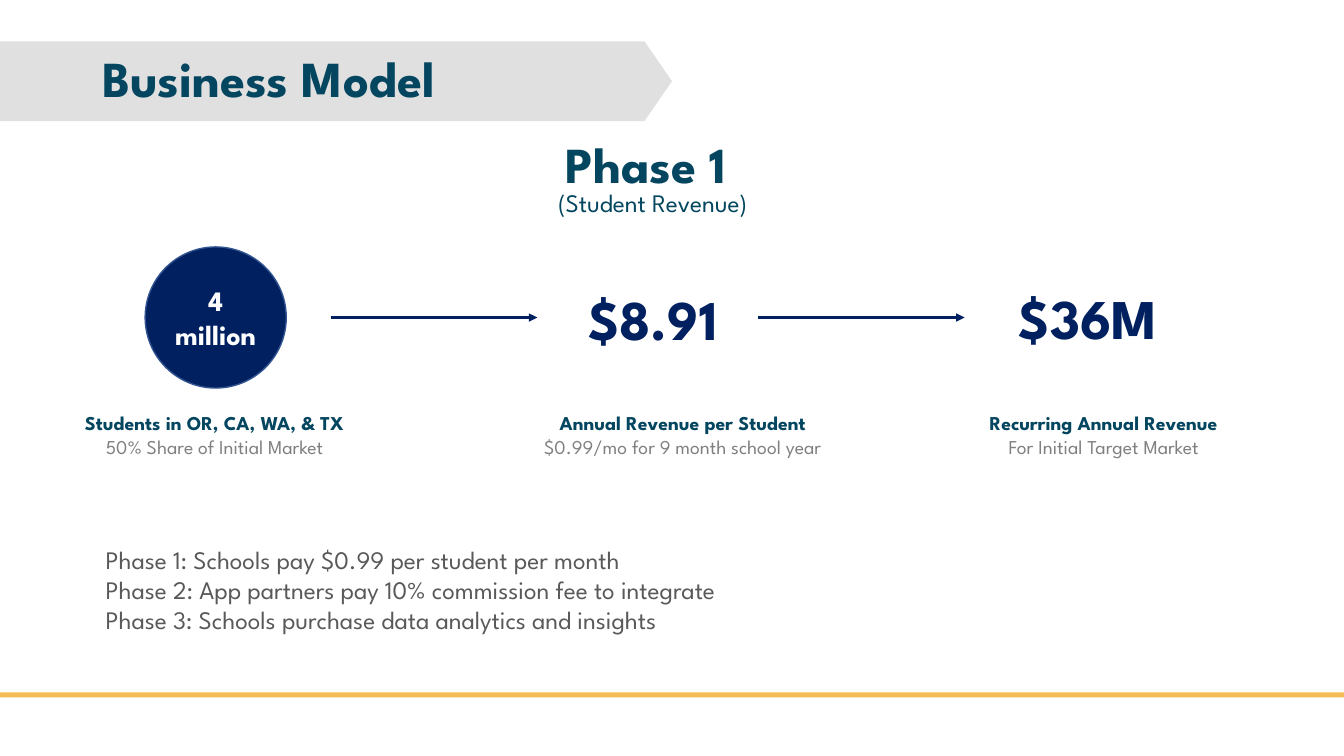
from dataclasses import dataclass

from lxml import etree
from pptx import Presentation
from pptx.dml.color import RGBColor
from pptx.enum import shapes, text
from pptx.oxml import ns
from pptx.util import Pt


@dataclass(frozen=True)
class Theme:
    face: str = "League Spartan"
    teal: str = "04465F"
    navy: str = "002060"
    rim: str = "325491"
    gold: str = "F3BC54"
    band: str = "D9D9D9"
    body: str = "595959"
    note: str = "808080"
    white: str = "FFFFFF"
    head: float = 36
    value: float = 40
    count: float = 20
    list: float = 18
    label: float = 14


@dataclass(frozen=True)
class Box:
    left: float
    top: float
    width: float
    height: float


@dataclass(frozen=True)
class Line:
    words: str
    size: float
    color: str
    bold: bool = False


@dataclass(frozen=True)
class Metric:
    box: Box
    title: str
    detail: str


LOOK = Theme()
LEFT, MID = text.PP_ALIGN.LEFT, text.PP_ALIGN.CENTER
METRICS = [
    Metric(Box(43.9, 290.2, 218.9, 41), "Students in OR, CA, WA, & TX", "50% Share of Initial Market"),
    Metric(Box(364.3, 290.2, 247, 41), "Annual Revenue per Student", "$0.99/mo for 9 month school year"),
    Metric(Box(684, 290.2, 208.8, 41), "Recurring Annual Revenue", "For Initial Target Market"),
]
PHASES = [
    "Phase 1: Schools pay $0.99 per student per month",
    "Phase 2: App partners pay 10% commission fee to integrate",
    "Phase 3: Schools purchase data analytics and insights",
]
ARROWS = [236.2, 541.4]


def spot(box: Box) -> tuple:
    """Return the box as lengths."""
    return Pt(box.left), Pt(box.top), Pt(box.width), Pt(box.height)


def write(frame, lines: list[Line], align=LEFT, pitch: float = 1.0) -> None:
    """Fill a text frame with one paragraph per line."""
    for index, line in enumerate(lines):
        para = frame.add_paragraph() if index else frame.paragraphs[0]
        para.text = line.words
        para.alignment = align
        para.line_spacing = pitch
        font = para.font
        font.name, font.size, font.bold = LOOK.face, Pt(line.size), line.bold
        font.color.rgb = RGBColor.from_string(line.color)


def label(slide, box: Box, lines: list[Line], align=LEFT, pitch: float = 1.0, wrap: bool = True):
    """Add a text box and return its frame."""
    frame = slide.shapes.add_textbox(*spot(box)).text_frame
    frame.word_wrap = wrap
    write(frame, lines, align, pitch)
    return frame


def block(slide, kind, box: Box, color: str):
    """Add a plain filled shape without an outline."""
    shape = slide.shapes.add_shape(kind, *spot(box))
    shape.shadow.inherit = False
    shape.fill.solid()
    shape.fill.fore_color.rgb = RGBColor.from_string(color)
    shape.line.fill.background()
    return shape


def arrow(slide, left: float, top: float = 226.8, width: float = 147.6) -> None:
    """Add a level arrow that points right."""
    link = slide.shapes.add_connector(
        shapes.MSO_CONNECTOR.STRAIGHT, Pt(left), Pt(top), Pt(left + width), Pt(top))
    link.line.width = Pt(1.5)
    link.line.color.rgb = RGBColor.from_string(LOOK.navy)
    etree.SubElement(link.line._get_or_add_ln(), ns.qn("a:tailEnd"), type="triangle")
    etree.SubElement(link._element.spPr, ns.qn("a:effectLst"))


def banner(slide) -> None:
    """Add the footer rule and the title band."""
    kinds = shapes.MSO_SHAPE
    block(slide, kinds.RECTANGLE, Box(0, 494.6, 960, 3.6), LOOK.gold)
    band = block(slide, kinds.PENTAGON, Box(0, 29.5, 480, 57), LOOK.band)
    band.adjustments[0] = 0.345
    tint = band.fill._xPr.find(".//" + ns.qn("a:srgbClr"))
    etree.SubElement(tint, ns.qn("a:alpha"), val="80000")
    title = Line("Business Model", LOOK.head, LOOK.teal, True)
    frame = label(slide, Box(66.2, 29.5, 828, 57), [title], pitch=0.9)
    frame.vertical_anchor = text.MSO_ANCHOR.MIDDLE


def disc(slide) -> None:
    """Add the circle with the student count."""
    shape = block(slide, shapes.MSO_SHAPE.OVAL, Box(103.7, 176.4, 100.8, 100.8), LOOK.navy)
    shape.line.color.rgb = RGBColor.from_string(LOOK.rim)
    shape.line.width = Pt(1)
    frame = shape.text_frame
    frame.word_wrap = True
    frame.margin_left = frame.margin_right = frame.margin_top = frame.margin_bottom = 0
    frame.vertical_anchor = text.MSO_ANCHOR.MIDDLE
    write(frame, [Line("4 million", LOOK.count, LOOK.white, True)], MID)


def main() -> None:
    """Build and save the slide."""
    deck = Presentation()
    deck.slide_width, deck.slide_height = Pt(960), Pt(540)
    slide = deck.slides.add_slide(deck.slide_layouts[6])
    banner(slide)
    label(slide, Box(68.4, 385.2, 594, 72.7), [Line(p, LOOK.list, LOOK.body) for p in PHASES])
    heading = [Line("Phase 1 ", LOOK.head, LOOK.teal, True),
               Line("(Student Revenue)", LOOK.list, LOOK.teal)]
    label(slide, Box(376.6, 100.1, 179.3, 60.5), heading, MID, 0.8, False)
    disc(slide)
    for item in METRICS:
        label(slide, item.box, [Line(item.title, LOOK.label, LOOK.teal, True),
                                Line(item.detail, LOOK.label, LOOK.note)], MID)
    label(slide, Box(405.4, 199.4, 121.7, 55.4), [Line("$8.91", LOOK.value, LOOK.navy, True)], MID)
    label(slide, Box(720.7, 198.7, 123.1, 55.4), [Line("$36M", LOOK.value, LOOK.navy, True)])
    for left in ARROWS:
        arrow(slide, left)
    deck.save("out.pptx")


if __name__ == "__main__":
    main()
